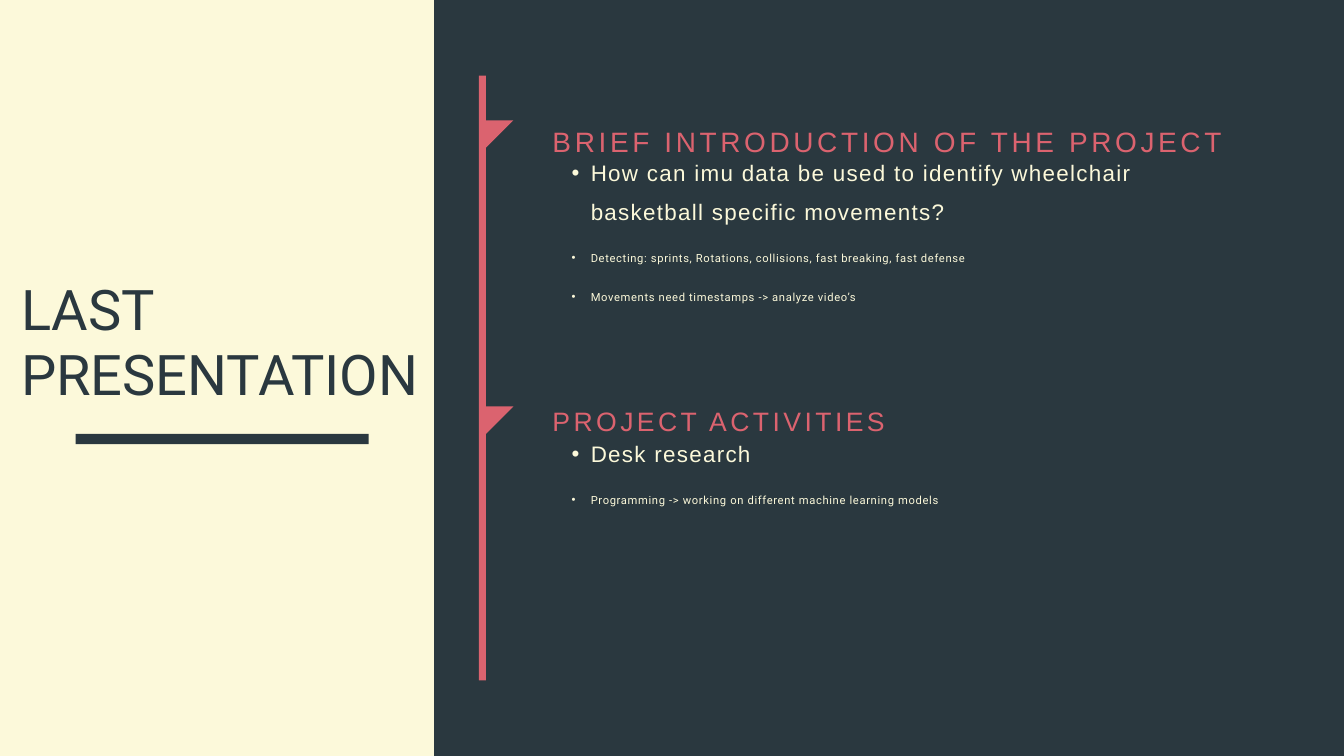
from dataclasses import dataclass

from lxml.etree import SubElement
from pptx import Presentation
from pptx.dml.color import RGBColor as RGB
from pptx.enum.shapes import MSO_SHAPE as Shape
from pptx.enum.text import MSO_ANCHOR as Anchor, MSO_AUTO_SIZE as Fit, PP_ALIGN as Align
from pptx.oxml.ns import qn
from pptx.util import Pt


@dataclass(frozen=True)
class Theme:
    dark: RGB = RGB.from_string("2A383F")
    cream: RGB = RGB.from_string("FCF9DA")
    rose: RGB = RGB.from_string("DB636F")
    sans: str = "Arial"
    round: str = "Roboto"
    title: float = 60
    lead: float = 24
    small: float = 12


class Deck:
    """Draws the parts of one slide in a shared style."""

    def __init__(self, theme):
        self.theme = theme
        self.show = Presentation()
        self.show.slide_width, self.show.slide_height = Pt(1440), Pt(810)
        self.slide = self.show.slides.add_slide(self.show.slide_layouts[5])
        fill = self.slide.background.fill
        fill.solid()
        fill.fore_color.rgb = theme.dark

    def paint(self, shape, color):
        shape.shadow.inherit = False
        shape.fill.solid()
        shape.fill.fore_color.rgb = color
        shape.line.fill.background()
        return shape

    def rect(self, x, y, w, h, color):
        box = self.slide.shapes.add_shape(Shape.RECTANGLE, Pt(x), Pt(y), Pt(w), Pt(h))
        return self.paint(box, color)

    def flag(self, x, y, size):
        pen = self.slide.shapes.build_freeform(Pt(x), Pt(y))
        pen.add_line_segments([(Pt(x + size), Pt(y)), (Pt(x), Pt(y + size))])
        self.paint(pen.convert_to_shape(), self.theme.rose)

    def frame(self, shape):
        frame = shape.text_frame
        frame.word_wrap = True
        frame.auto_size = Fit.NONE
        frame.vertical_anchor = Anchor.TOP
        frame.margin_left = frame.margin_right = 0
        frame.margin_top = frame.margin_bottom = 0
        return frame

    def text(self, x, y, w, h):
        box = self.slide.shapes.add_textbox(Pt(x), Pt(y), Pt(w), Pt(h))
        return self.frame(box)

    def style(self, para, size, face, color, lead, track=0):
        para.alignment = Align.LEFT
        para.line_spacing = Pt(lead)
        para.space_before = Pt(0)
        for run in para.runs:
            font = run.font
            font.size, font.name = Pt(size), face
            font.color.rgb = color
            run._r.get_or_add_rPr().set("spc", str(round(track * 100)))

    def title(self, words, x, y, w, h, panel):
        shape = self.slide.shapes.title
        shape.left, shape.top, shape.width, shape.height = Pt(x), Pt(y), Pt(w), Pt(h)
        shape.element.addprevious(panel.element)
        frame = self.frame(shape)
        frame.text = words
        theme = self.theme
        self.style(frame.paragraphs[0], theme.title, theme.round, theme.dark, 69)

    def head(self, words, x, y, h, size, track):
        frame = self.text(x, y, 759, h)
        frame.text = words
        theme = self.theme
        self.style(frame.paragraphs[0], size, theme.sans, theme.rose, size * 1.6, track)

    def bullets(self, items, x, y, h):
        frame = self.text(x, y, 736.5, h)
        frame.text = "\n".join(items)
        theme = self.theme
        for i, para in enumerate(frame.paragraphs):
            para.level = 1
            if i == 0:
                look = theme.lead, theme.sans, theme.cream, 42, 1.4
            else:
                look = theme.small, theme.round, theme.cream, 42, 0.7
            self.style(para, *look)
            props = para._p.get_or_add_pPr()
            props.set("marL", str(Pt(41)))
            props.set("indent", str(Pt(-20.5)))
            SubElement(props, qn("a:buFont")).set("typeface", theme.sans)
            SubElement(props, qn("a:buChar")).set("char", "•")


def main():
    theme = Theme()
    deck = Deck(theme)
    panel = deck.rect(0, 0, 465, 810, theme.cream)
    deck.title("LAST PRESENTATION", 22.5, 297.5, 443, 139.5, panel)
    deck.rect(81, 465, 314, 11, theme.dark)
    deck.rect(513, 81, 7.5, 648, theme.rose)
    parts = [
        ("BRIEF INTRODUCTION OF THE PROJECT", 129, 121.5, 44, 30, 3.9, 247, [
            "How can imu data be used to identify wheelchair basketball specific movements?",
            "Detecting: sprints, Rotations, collisions, fast breaking, fast defense",
            "Movements need timestamps -> analyze video’s",
        ]),
        ("PROJECT ACTIVITIES", 435.5, 422.5, 42, 28.5, 3.7, 121, [
            "Desk research",
            "Programming -> working on different machine learning models",
        ]),
    ]
    for words, mark, top, tall, size, track, deep, items in parts:
        deck.flag(520.5, mark, 29.5)
        deck.head(words, 592, top, tall, size, track)
        deck.bullets(items, 592, top + 36, deep)
    deck.show.save("out.pptx")


if __name__ == "__main__":
    main()
